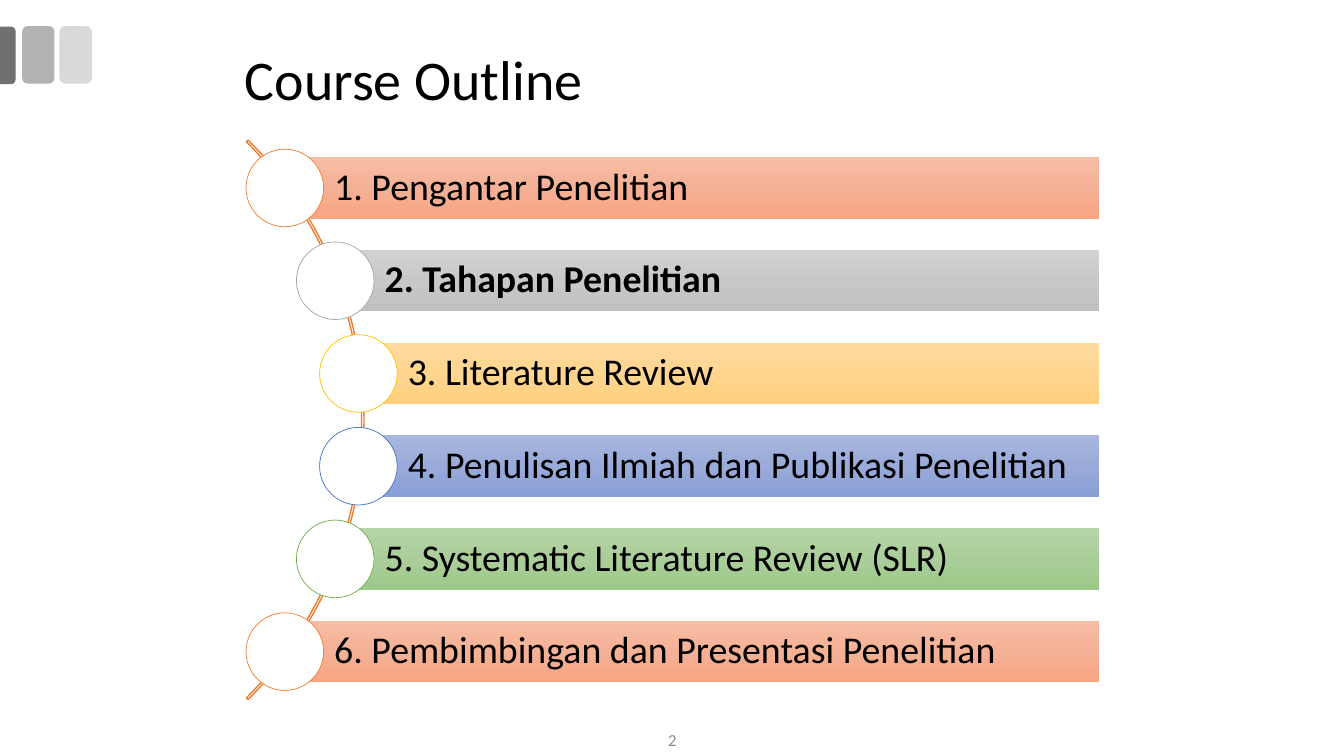
from copy import deepcopy
from dataclasses import dataclass

from pptx import Presentation
from pptx import util as u
from pptx.dml.color import RGBColor
from pptx.enum import shapes, text
from pptx.oxml.ns import qn


@dataclass(frozen=True)
class Theme:
    font: str = "Calibri"
    ink: str = "000000"
    muted: str = "8C8C8C"
    paper: str = "FFFFFF"
    tabs: tuple = ("D9D9D9", "B3B3B3", "707070")
    title: int = 40
    item: int = 27
    small: int = 12


T = Theme()
KIND = shapes.MSO_SHAPE

# Outline colour of the circle, then the gradient of the bar
ORANGE = ("ED7D31", ("F7BDA5", "F5B196", "F8A582"))
GRAY = ("A5A5A5", ("D2D2D2", "C8C8C8", "C0C0C0"))
GOLD = ("FFC000", ("FFDB9E", "FFD590", "FFD07C"))
BLUE = ("4472C4", ("A8B7DF", "9AABD9", "889ED7"))
GREEN = ("70AD47", ("B5D5A7", "AACE9A", "9CC987"))

# Topic, colours, left edge of the circle, bold
TOPICS = [
    ("1. Pengantar Penelitian", ORANGE, 2.44, False),
    ("2. Tahapan Penelitian", GRAY, 2.94, True),
    ("3. Literature Review", GOLD, 3.17, False),
    ("4. Penulisan Ilmiah dan Publikasi Penelitian", BLUE, 3.17, False),
    ("5. Systematic Literature Review (SLR)", GREEN, 2.94, False),
    ("6. Pembimbingan dan Presentasi Penelitian", ORANGE, 2.44, False),
]
FIRST_TOP, ROW_STEP = 1.56, 0.92
BAR_RIGHT, BAR_HEIGHT, CIRCLE = 10.9, 0.61, 0.77


def write(sp, words, size, color=T.ink, bold=False, spacing=None,
          align=text.PP_ALIGN.LEFT, insets=(0.1, 0.05, 0.1, 0.05)):
    tf = sp.text_frame
    tf.word_wrap = True
    tf.vertical_anchor = text.MSO_ANCHOR.MIDDLE
    (tf.margin_left, tf.margin_top,
     tf.margin_right, tf.margin_bottom) = map(u.Inches, insets)
    p = tf.paragraphs[0]
    p.alignment, p.line_spacing = align, spacing
    r = p.add_run()
    r.text = words
    r.font.name, r.font.size, r.font.bold = T.font, u.Pt(size), bold
    r.font.color.rgb = RGBColor.from_string(color)


def add_text(s, box, words, size, **fmt):
    write(s.shapes.add_textbox(*map(u.Inches, box)), words, size, **fmt)


def add_shape(s, kind, box, fill=None, line=None, width=1, adj=()):
    sp = s.shapes.add_shape(kind, *map(u.Inches, box))
    sp.shadow.inherit = False
    for i, value in enumerate(adj):
        sp.adjustments[i] = value
    if fill:
        sp.fill.solid()
        sp.fill.fore_color.rgb = RGBColor.from_string(fill)
    else:
        sp.fill.background()
    if line:
        sp.line.color.rgb = RGBColor.from_string(line)
        sp.line.width = u.Pt(width)
    else:
        sp.line.fill.background()
    return sp


def fill_gradient(sp, colors):
    """Fill from top to bottom with three evenly spaced colours."""
    sp.fill.gradient()
    sp.fill.gradient_angle = 270
    stops = sp._element.spPr.find(qn("a:gradFill")).find(qn("a:gsLst"))
    stops.append(deepcopy(stops[0]))
    for i, (stop, color) in enumerate(zip(sp.fill.gradient_stops, colors)):
        stop.position = i / 2
        stop.color.rgb = RGBColor.from_string(color)


def add_corner_tabs(s):
    light, mid, dark = T.tabs
    for left, color in ((0.59, light), (0.22, mid)):
        add_shape(s, KIND.ROUNDED_RECTANGLE, (left, 0.26, 0.32, 0.57), color)
    tab = add_shape(s, KIND.ROUND_2_SAME_RECTANGLE, (-0.21, 0.47, 0.57, 0.16),
                    dark, adj=(0.292, 0))
    tab.rotation = 90


def add_topic(s, top, words, colors, left, bold):
    outline, gradient = colors
    middle = left + CIRCLE / 2
    bar = add_shape(s, KIND.RECTANGLE,
                    (middle, top, BAR_RIGHT - middle, BAR_HEIGHT))
    fill_gradient(bar, gradient)
    write(bar, words, T.item, bold=bold, spacing=0.9,
          insets=(0.49, 0.07, 0.07, 0.07))
    add_shape(s, KIND.OVAL,
              (left, top + (BAR_HEIGHT - CIRCLE) / 2, CIRCLE, CIRCLE),
              T.paper, outline, 0.5)


def main():
    prs = Presentation()
    prs.slide_width, prs.slide_height = u.Inches(13.33), u.Inches(7.5)
    s = prs.slides.add_slide(prs.slide_layouts[6])

    add_corner_tabs(s)

    # Curve behind the topics, from 315 to 45 degrees
    add_shape(s, KIND.BLOCK_ARC, (-4.24, 0.24, 7.85, 7.85),
              line=ORANGE[0], adj=(189, 27, 0.003))

    # Topics
    for i, topic in enumerate(TOPICS):
        add_topic(s, FIRST_TOP + i * ROW_STEP, *topic)

    # Page number and title
    add_text(s, (5.17, 7.17, 3, 0.33), "2", T.small, color=T.muted,
             align=text.PP_ALIGN.CENTER)
    add_text(s, (2.33, 0.46, 9.08, 0.71), "Course Outline", T.title,
             spacing=0.9)

    prs.save("out.pptx")


if __name__ == "__main__":
    main()
